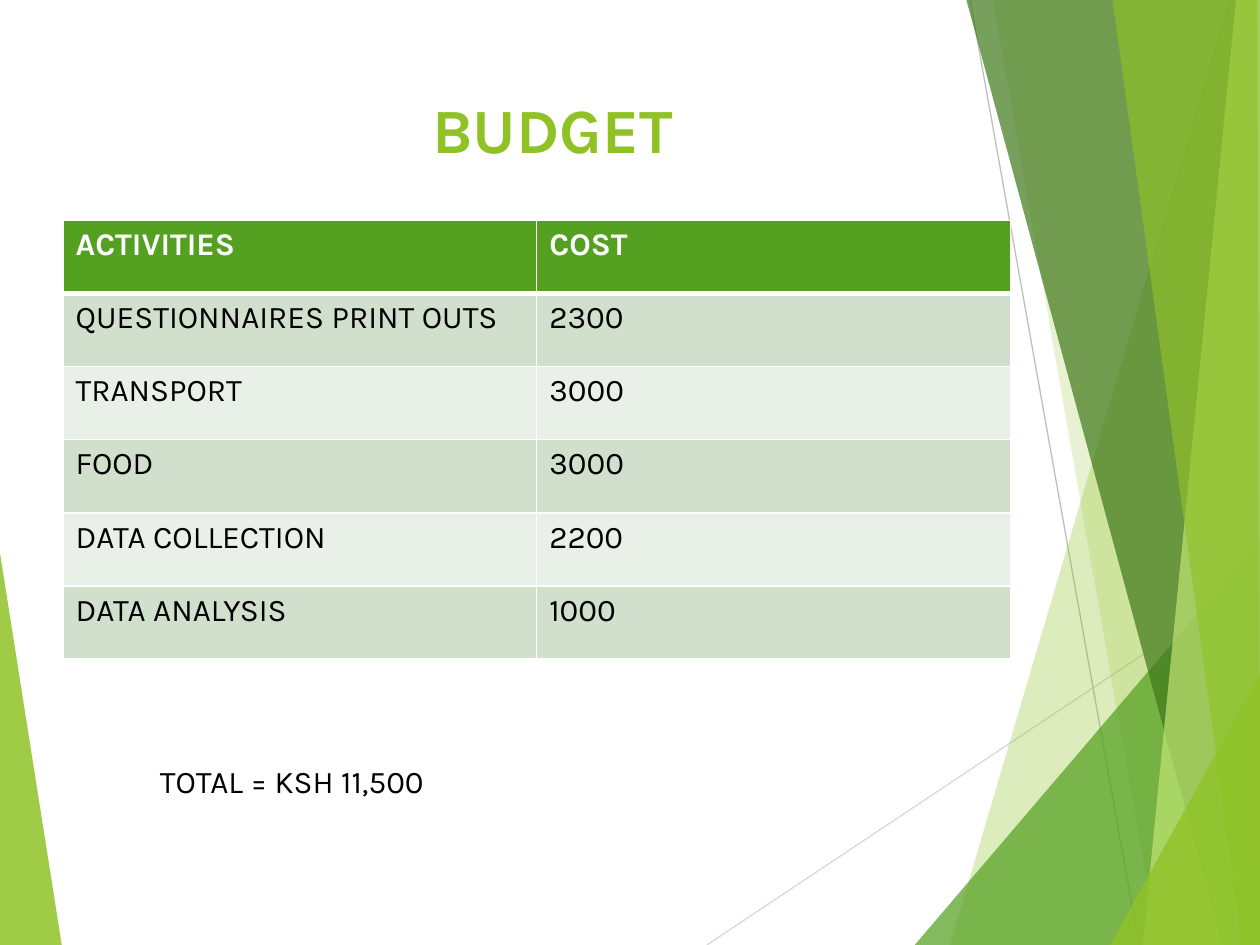
"""Build the budget slide: green facets, a title, a cost table and the total."""
from dataclasses import dataclass

from lxml.etree import SubElement
from pptx import Presentation
from pptx.dml.color import RGBColor
from pptx.enum.shapes import MSO_CONNECTOR
from pptx.enum.text import MSO_ANCHOR, MSO_AUTO_SIZE, PP_ALIGN
from pptx.oxml.ns import qn
from pptx.slide import Slide
from pptx.table import _Cell
from pptx.text.text import TextFrame
from pptx.util import Inches, Pt

FONT = "Karla"
COLORS = {
    "lime": "90C226",
    "green": "54A021",
    "forest": "3F7819",
    "pale_lime": "C0E474",
    "band_dark": "D1DFCD",
    "band_light": "E9F0E8",
    "ray_light": "D9D9D9",
    "ray_dark": "BFBFBF",
    "white": "FFFFFF",
    "black": "000000",
}


@dataclass(frozen=True)
class Facet:
    points: tuple[tuple[float, float], ...]
    color: str
    opacity: int


@dataclass(frozen=True)
class Ray:
    start: tuple[float, float]
    end: tuple[float, float]
    color: str


@dataclass(frozen=True)
class Expense:
    activity: str
    cost: str


RAYS = (
    Ray((5.61, 7.5), (10.01, 4.57), "ray_light"),
    Ray((7.7, 0), (9.04, 7.5), "ray_dark"),
)
FACETS = (
    Facet(((0, 4.39), (0.49, 7.5), (0, 7.5)), "lime", 85),
    Facet(((9.75, 0), (7.54, 7.5), (10, 7.5), (10, 0)), "lime", 30),
    Facet(((7.88, 0), (9.19, 7.5), (10, 7.5), (10, 0)), "lime", 20),
    Facet(((7.26, 7.5), (10, 4.29), (10, 7.5)), "green", 72),
    Facet(((7.67, 0), (9.7, 7.5), (10, 7.5), (10, 0)), "forest", 70),
    Facet(((9.81, 0), (9.07, 7.5), (10, 7.5), (10, 0)), "pale_lime", 70),
    Facet(((8.83, 0), (9.86, 7.5), (10, 7.5), (9.98, 0)), "lime", 65),
    Facet(((8.81, 7.5), (10, 5.35), (10, 7.5)), "lime", 80),
)
HEADER = Expense("ACTIVITIES", "COST")
EXPENSES = (
    Expense("QUESTIONNAIRES PRINT OUTS", "2300"),
    Expense("TRANSPORT", "3000"),
    Expense("FOOD", "3000"),
    Expense("DATA COLLECTION", "2200"),
    Expense("DATA ANALYSIS", "1000"),
)


def rgb(name: str) -> RGBColor:
    return RGBColor.from_string(COLORS[name])


def write(frame: TextFrame, words: str, size: int, color: str, bold: bool = False) -> None:
    paragraph = frame.paragraphs[0]
    paragraph.alignment = PP_ALIGN.LEFT
    run = paragraph.add_run()
    run.text = words
    run.font.name = FONT
    run.font.size = Pt(size)
    run.font.bold = bold
    run.font.color.rgb = rgb(color)


def draw_ray(slide: Slide, ray: Ray) -> None:
    ends = [Inches(value) for value in ray.start + ray.end]
    connector = slide.shapes.add_connector(MSO_CONNECTOR.STRAIGHT, *ends)
    connector.line.color.rgb = rgb(ray.color)
    connector.line.width = Pt(0.75)
    SubElement(connector._element.spPr, qn("a:effectLst"))


def draw_facet(slide: Slide, facet: Facet) -> None:
    corners = [(Inches(x), Inches(y)) for x, y in facet.points]
    builder = slide.shapes.build_freeform(*corners[0])
    builder.add_line_segments(corners[1:], close=True)
    pane = builder.convert_to_shape()
    pane.shadow.inherit = False
    pane.line.fill.background()
    pane.fill.solid()
    pane.fill.fore_color.rgb = rgb(facet.color)
    tint = pane._element.spPr.find(qn("a:solidFill")).find(qn("a:srgbClr"))
    SubElement(tint, qn("a:alpha"), val=str(facet.opacity * 1000))


def draw_borders(cell: _Cell, top: int, bottom: int) -> None:
    properties = cell._tc.get_or_add_tcPr()
    for side, points in (("L", 1), ("R", 1), ("T", top), ("B", bottom)):
        border = SubElement(properties, qn(f"a:ln{side}"), w=str(Pt(points)))
        fill = SubElement(border, qn("a:solidFill"))
        SubElement(fill, qn("a:srgbClr"), val=COLORS["white"])


def draw_costs(slide: Slide) -> None:
    rows = (HEADER, *EXPENSES)
    costs = slide.shapes.add_table(
        len(rows), 2, Inches(0.5), Inches(1.75), Inches(7.52), Inches(3.48)
    ).table
    for index, expense in enumerate(rows):
        is_header = index == 0
        band = "green" if is_header else "band_dark" if index % 2 else "band_light"
        for column, words in enumerate((expense.activity, expense.cost)):
            cell = costs.cell(index, column)
            draw_borders(cell, 3 if index == 1 else 1, 3 if is_header else 1)
            cell.fill.solid()
            cell.fill.fore_color.rgb = rgb(band)
            write(cell.text_frame, words, 18, "white" if is_header else "black", is_header)


def main() -> None:
    deck = Presentation()
    deck.slide_width, deck.slide_height = Inches(10), Inches(7.5)
    slide = deck.slides.add_slide(deck.slide_layouts[5])

    for ray in RAYS:
        draw_ray(slide, ray)
    for facet in FACETS:
        draw_facet(slide, facet)

    heading = slide.shapes.title
    heading.left, heading.top = Inches(3.33), Inches(0.67)
    heading.width, heading.height = Inches(4.28), Inches(1.44)
    heading.text_frame.vertical_anchor = MSO_ANCHOR.TOP
    write(heading.text_frame, "BUDGET", 36, "lime", True)

    draw_costs(slide)

    total = slide.shapes.add_textbox(Inches(1.17), Inches(6), Inches(5.75), Inches(0.4))
    total.text_frame.word_wrap = True
    total.text_frame.auto_size = MSO_AUTO_SIZE.SHAPE_TO_FIT_TEXT
    write(total.text_frame, "TOTAL = KSH 11,500", 18, "black")

    deck.save("out.pptx")


if __name__ == "__main__":
    main()
